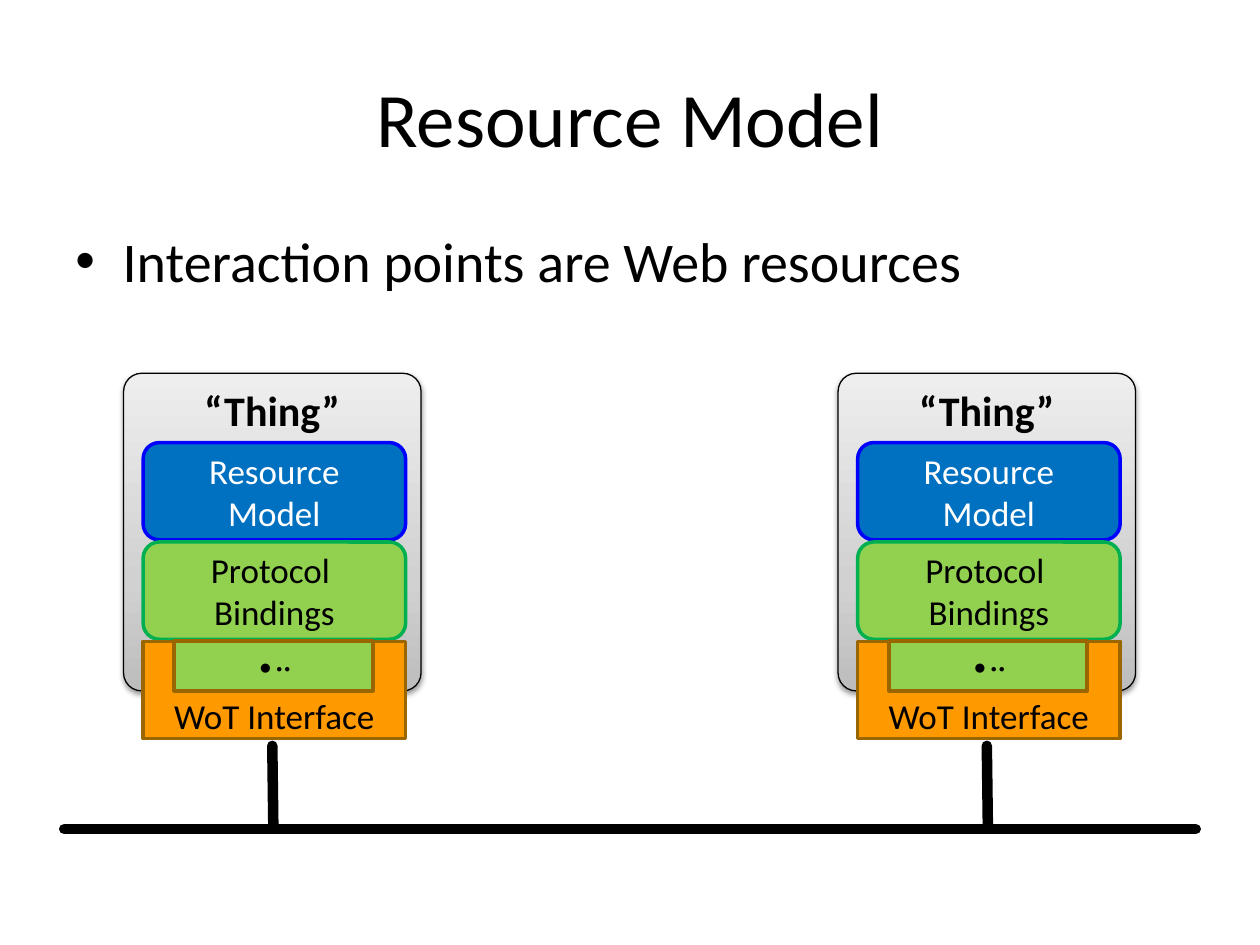
from lxml.etree import SubElement
from pptx import Presentation
from pptx.dml.color import RGBColor
from pptx.enum.shapes import MSO_CONNECTOR, MSO_SHAPE
from pptx.enum.text import MSO_ANCHOR as ANCHOR, PP_ALIGN as ALIGN
from pptx.oxml import parse_xml
from pptx.oxml.ns import nsdecls, qn
from pptx.util import Pt

BLACK = RGBColor(0x00, 0x00, 0x00)
WHITE = RGBColor(0xFF, 0xFF, 0xFF)
BLUE = RGBColor(0x00, 0x70, 0xC0)
BLUE_EDGE = RGBColor(0x00, 0x00, 0xFF)
GREEN = RGBColor(0x92, 0xD0, 0x50)
GREEN_EDGE = RGBColor(0x00, 0xB0, 0x50)
ORANGE = RGBColor(0xFF, 0x99, 0x00)
BROWN = RGBColor(0x99, 0x66, 0x00)
GREYS = [(0, RGBColor(0xBD, 0xBD, 0xBD)), (35, RGBColor(0xD1, 0xD1, 0xD1)),
         (100, RGBColor(0xEE, 0xEE, 0xEE))]

TITLE = "Resource Model"
BULLET = "Interaction points are Web resources"
THING = "“Thing”"
LAYERS = [("Resource\nModel", BLUE, BLUE_EDGE, WHITE),
          ("Protocol \nBindings", GREEN, GREEN_EDGE, BLACK)]
INTERFACE = "WoT Interface"
DOTS = "∙··"

THING_LEFTS = [70.6, 478.9]
THING_TOP, THING_W, THING_H = 213.3, 170, 181.5
LAYER_TOP, LAYER_W, LAYER_H, LAYER_STEP = 252.9, 150, 55.6, 56.8
INSET = 11.2
NOTCH_X, NOTCH_W, NOTCH_H = 17.8, 113.4, 28.2
BUS_Y, BUS_LEFT, BUS_RIGHT = 473.8, 36.7, 683.3

prs = Presentation()
prs.slide_width, prs.slide_height = Pt(720), Pt(540)
s = prs.slides.add_slide(prs.slide_layouts[6])


def write(shape, text, size=20, color=BLACK, bold=False, align=ALIGN.CENTER,
          anchor=ANCHOR.MIDDLE, wrap=True, bullet=None):
    tf = shape.text_frame
    tf.word_wrap, tf.vertical_anchor = wrap, anchor
    p = tf.paragraphs[0]
    p.alignment = align
    if bullet:
        pPr = p._p.get_or_add_pPr()
        pPr.set("marL", str(Pt(27)))
        pPr.set("indent", str(-Pt(27)))
        SubElement(pPr, qn("a:buFont")).set("typeface", "Arial")
        SubElement(pPr, qn("a:buChar")).set("char", bullet)
    for i, line in enumerate(text.split("\n")):
        if i:
            p.add_line_break()
        r = p.add_run()
        r.text = line
        r.font.name, r.font.size, r.font.bold = "Calibri", Pt(size), bold
        r.font.color.rgb = color
    return tf


def paint(shape, fill, edge, width=2):
    shape.fill.solid()
    shape.fill.fore_color.rgb = fill
    shape.line.color.rgb = edge
    shape.line.width = Pt(width)
    shape.shadow.inherit = False


def add_box(kind, x, y, w, h):
    return s.shapes.add_shape(kind, Pt(x), Pt(y), Pt(w), Pt(h))


def add_line(x1, y1, x2, y2):
    c = s.shapes.add_connector(MSO_CONNECTOR.STRAIGHT, Pt(x1), Pt(y1), Pt(x2), Pt(y2))
    c.line.color.rgb = BLACK
    c.line.width = Pt(6)
    c.line._ln.set("cap", "rnd")
    SubElement(c._element.spPr, qn("a:effectLst"))


def add_thing(x):
    box = add_box(MSO_SHAPE.ROUNDED_RECTANGLE, x, THING_TOP, THING_W, THING_H)
    box.adjustments[0] = 0.061
    paint(box, WHITE, BLACK, 0.75)
    spPr = box._element.spPr
    stops = "".join(f'<a:gs pos="{pos * 1000}"><a:srgbClr val="{c}"/></a:gs>'
                    for pos, c in GREYS)
    spPr.replace(spPr.find(qn("a:solidFill")), parse_xml(
        f'<a:gradFill {nsdecls("a")} rotWithShape="1"><a:gsLst>{stops}</a:gsLst>'
        '<a:lin ang="16200000" scaled="0"/></a:gradFill>'))
    spPr.find(qn("a:effectLst")).append(parse_xml(
        f'<a:outerShdw {nsdecls("a")} blurRad="{Pt(3.1)}" dist="{Pt(1.6)}" dir="5400000"'
        ' rotWithShape="0"><a:srgbClr val="000000"><a:alpha val="38000"/></a:srgbClr>'
        '</a:outerShdw>'))
    write(box, THING, size=24, bold=True, anchor=ANCHOR.TOP, wrap=False)


def add_interface(x, y):
    right, bottom = x + LAYER_W, y + LAYER_H
    notch_left, notch_bottom = x + NOTCH_X, y + NOTCH_H
    notch_right = notch_left + NOTCH_W
    outline = [(notch_left, y), (notch_left, notch_bottom), (notch_right, notch_bottom),
               (notch_right, y), (right, y), (right, bottom), (x, bottom)]
    fb = s.shapes.build_freeform(Pt(x), Pt(y))
    fb.add_line_segments([(Pt(px), Pt(py)) for px, py in outline], close=True)
    frame = fb.convert_to_shape()
    paint(frame, ORANGE, BROWN)
    tf = write(frame, INTERFACE, anchor=ANCHOR.BOTTOM)
    tf.margin_top, tf.margin_bottom = 0, Pt(1.4)
    slot = add_box(MSO_SHAPE.RECTANGLE, notch_left, y, NOTCH_W, NOTCH_H)
    paint(slot, GREEN, BROWN, 2.25)
    write(slot, DOTS, size=18)


title = s.shapes.add_textbox(Pt(36), Pt(21.6), Pt(648), Pt(90))
write(title, TITLE, size=44)
body = s.shapes.add_textbox(Pt(36), Pt(126), Pt(648), Pt(356.4))
write(body, BULLET, size=32, align=ALIGN.LEFT, anchor=ANCHOR.TOP, bullet="•")

add_line(BUS_LEFT, BUS_Y, BUS_RIGHT, BUS_Y)
for left in THING_LEFTS:
    middle = left + THING_W / 2
    add_line(middle + 0.6, BUS_Y - 1.5, middle, 426.2)
    add_thing(left)
    for i, (label, fill, edge, color) in enumerate(LAYERS):
        layer = add_box(MSO_SHAPE.ROUNDED_RECTANGLE, left + INSET,
                        LAYER_TOP + i * LAYER_STEP, LAYER_W, LAYER_H)
        paint(layer, fill, edge)
        write(layer, label, color=color)
    add_interface(left + INSET, LAYER_TOP + len(LAYERS) * LAYER_STEP)

prs.save("out.pptx")
